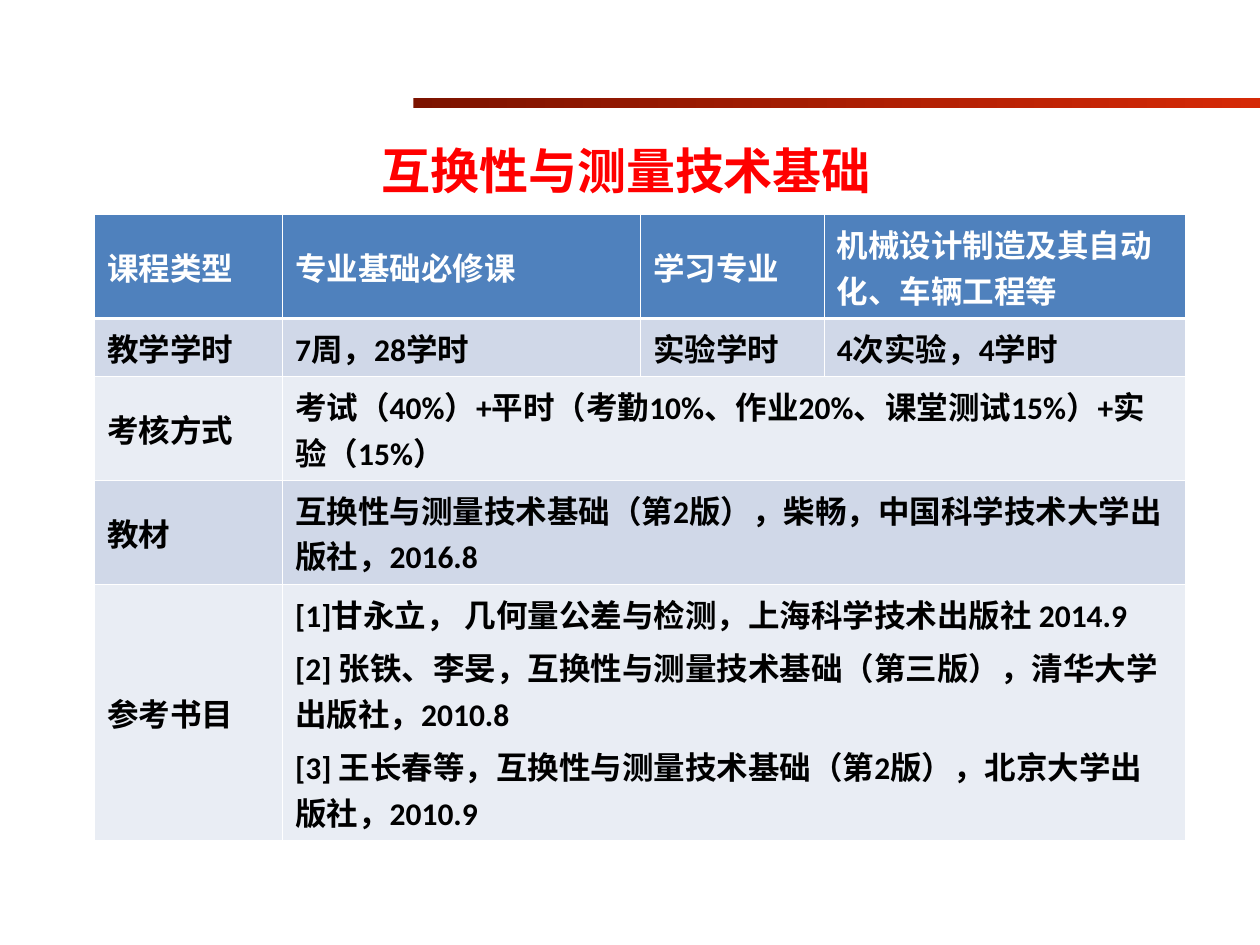
from lxml import etree
from pptx import Presentation
from pptx.dml.color import RGBColor
from pptx.enum.shapes import MSO_SHAPE as Shape
from pptx.enum.text import MSO_ANCHOR as Anchor
from pptx.oxml.ns import qn
from pptx.util import Pt

WHITE, BLACK, RED = "FFFFFF", "000000", "FF0000"
HEADER, DARK_BAND, LIGHT_BAND = "4F81BD", "D0D8E8", "E9EDF4"
COLUMN_WIDTHS = [107.3, 204.5, 105.1, 206.5]
ROW_HEIGHTS = [59.2, 33.2, 59.2, 59.2, 146.2]
COURSE_ROWS = [
    ["课程类型", "专业基础必修课", "学习专业", "机械设计制造及其自动化、车辆工程等"],
    ["教学学时", "7周，28学时", "实验学时", "4次实验，4学时"],
    ["考核方式", "考试（40%）+平时（考勤10%、作业20%、课堂测试15%）+实验（15%）"],
    ["教材", "互换性与测量技术基础（第2版），柴畅，中国科学技术大学出版社，2016.8"],
    ["参考书目",
     "[1]甘永立， 几何量公差与检测，上海科学技术出版社 2014.9\n"
     "[2] 张铁、李旻，互换性与测量技术基础（第三版），清华大学出版社，2010.8\n"
     "[3] 王长春等，互换性与测量技术基础（第2版），北京大学出版社，2010.9"],
]


def color(value):
    return RGBColor.from_string(value)


def apply(target, formats):
    for name, value in formats.items():
        setattr(target, name, value)


def write(frame, text, size, ink):
    for index, line in enumerate(text.split("\n")):
        para = frame.paragraphs[0] if index == 0 else frame.add_paragraph()
        if index:
            para.space_before = Pt(4.5)
        span = para.add_run()
        span.text = line
        apply(span.font, {"name": "Calibri", "size": Pt(size), "bold": True})
        span.font.color.rgb = color(ink)


def add_borders(cell, widths):
    properties = cell._tc.get_or_add_tcPr()
    for position, (side, width) in enumerate(widths.items()):
        line = etree.Element(qn(f"a:{side}"), w=str(Pt(width)))
        fill = etree.SubElement(line, qn("a:solidFill"))
        etree.SubElement(fill, qn("a:srgbClr"), val=WHITE)
        properties.insert(position, line)


def add_bar(page, left, top, width, height):
    bar = page.shapes.add_shape(Shape.RECTANGLE, Pt(left), Pt(top), Pt(width), Pt(height))
    bar.shadow.inherit = False
    bar.line.fill.background()
    bar.fill.gradient()
    bar.fill.gradient_angle = 0
    for stop, (position, value) in zip(bar.fill.gradient_stops, [(0, "7C1300"), (1, "D52907")]):
        stop.position = position
        stop.color.rgb = color(value)


def add_title(page, left, top, width, height):
    box = page.shapes.add_textbox(Pt(left), Pt(top), Pt(width), Pt(height))
    apply(box.text_frame, {"word_wrap": True, "margin_left": Pt(45)})
    write(box.text_frame, "互换性与测量技术基础", 28, RED)


def add_course_table(page, left, top, width, height):
    table = page.shapes.add_table(len(ROW_HEIGHTS), len(COLUMN_WIDTHS),
                                  Pt(left), Pt(top), Pt(width), Pt(height)).table
    for column, column_width in zip(table.columns, COLUMN_WIDTHS):
        column.width = Pt(column_width)
    for row, row_height in zip(table.rows, ROW_HEIGHTS):
        row.height = Pt(row_height)
    last = len(COLUMN_WIDTHS) - 1
    for row, texts in enumerate(COURSE_ROWS):
        band = HEADER if row == 0 else DARK_BAND if row % 2 else LIGHT_BAND
        for column in range(last + 1):
            cell = table.cell(row, column)
            cell.vertical_anchor = Anchor.MIDDLE
            cell.fill.solid()
            cell.fill.fore_color.rgb = color(band)
            add_borders(cell, {"lnL": 0.45, "lnR": 0.45,
                               "lnT": 1.47 if row == 1 else 0.45,
                               "lnB": 1.47 if row == 0 else 0.45})
        if len(texts) == 2:
            table.cell(row, 1).merge(table.cell(row, last))
        for column, text in enumerate(texts):
            write(table.cell(row, column).text_frame, text, 18, BLACK if row else WHITE)


def main():
    deck = Presentation()
    apply(deck, {"slide_width": Pt(720), "slide_height": Pt(540)})
    page = deck.slides.add_slide(deck.slide_layouts[6])
    add_bar(page, 236.2, 56, 483.8, 5.8)
    add_course_table(page, 54.2, 122.6, sum(COLUMN_WIDTHS), sum(ROW_HEIGHTS))
    add_title(page, 173, 77, 453.6, 41)
    deck.save("out.pptx")


if __name__ == "__main__":
    main()
